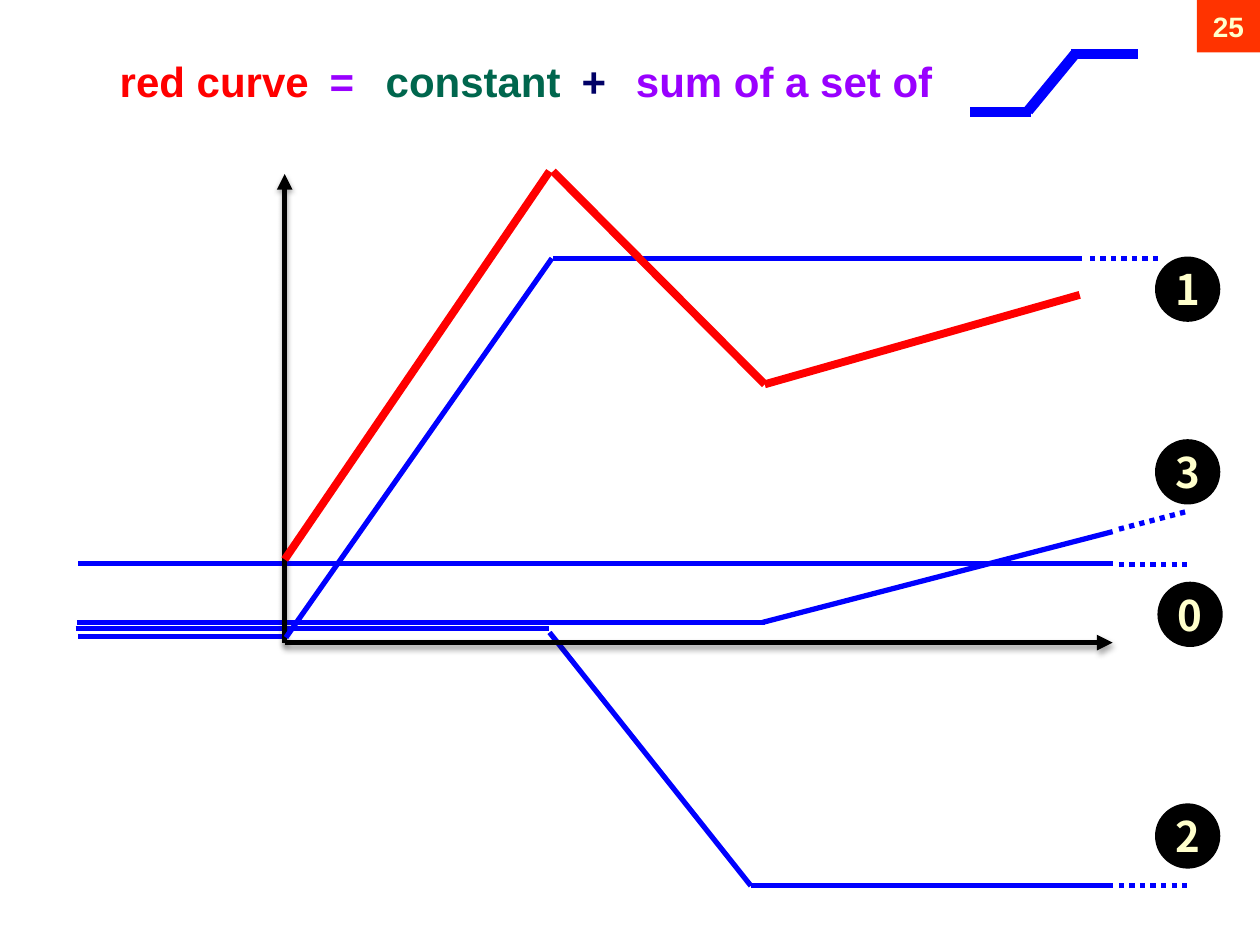
from lxml.etree import SubElement
from pptx import Presentation
from pptx.dml.color import RGBColor
from pptx.enum.dml import MSO_LINE
from pptx.enum.shapes import MSO_CONNECTOR, MSO_SHAPE
from pptx.enum.text import MSO_ANCHOR, MSO_AUTO_SIZE, PP_ALIGN
from pptx.oxml import parse_xml
from pptx.oxml.ns import nsdecls, qn
from pptx.util import Pt

THEME = {
    "blue": "0000FF", "red": "FF0000", "black": "000000", "cream": "FFFFCC",
    "green": "00664D", "violet": "9900FF", "navy": "000066", "orange": "FF3300",
    "title": {"name": "Arial", "size": Pt(24), "bold": True},
    "label": {"name": "Noto Sans CJK SC", "size": Pt(24), "bold": True},
    "page": {"name": "Arial", "size": Pt(16), "bold": True},
}

TERMS = [("red curve", "red", 0), ("=", "violet", 120), ("constant", "green", 152),
         ("+", "navy", 264), ("sum of a set of", "violet", 295)]

ZERO, PEAK, DIP, END = 162.7, 314, 437, 635.8
BASE = 367.2

LINES = [
    ("blue", 3, [
        (316, 147.6, 618.5, 147.6), (44.6, 363.6, ZERO, 363.6),
        (43.2, 359.3, PEAK, 359.3), (PEAK, 361.4, 429.1, 506.2),
        (429.1, 506.2, END, 506.2), (43.9, 355.7, DIP, 355.7),
        (435.6, 355.7, END, 303.8), (44.6, 321.8, END, 321.8)]),
    ("axis", 3, [(ZERO, BASE, END, BASE), (ZERO, BASE, ZERO, 99.4)]),
    ("blue", 3, [(163.4, 364.3, 315.4, 147.6)]),
    ("red", 4.5, [
        (ZERO, 319.7, PEAK, 97.9), (316, 97.9, DIP, 219.6), (617, 168.5, DIP, 219.6)]),
    ("dots", 3, [
        (639.4, 302.4, 678.2, 292.3), (622.8, 147.6, 662.4, 147.6),
        (639.4, 322.6, 679, 322.6), (639.4, 506.2, 678.2, 506.2)]),
    ("blue", 6, [
        (612, 31, 650.2, 31), (554.4, 64.1, 589, 64.1), (587.5, 63.4, 614.2, 31)]),
]

MARKS = [("0", 662.4, 333.4), ("1", 661, 147.6), ("2", 661, 460.1), ("3", 661, 252)]
SIZE = 35.3

SHADOW = (f'<a:effectLst {nsdecls("a")}><a:outerShdw blurRad="{Pt(3.1)}" '
          f'dist="{Pt(1.8)}" dir="5400000" rotWithShape="0"><a:srgbClr val="000000">'
          '<a:alpha val="35000"/></a:srgbClr></a:outerShdw></a:effectLst>')
PLAIN = f'<a:effectLst {nsdecls("a")}/>'


def tint(name):
    return RGBColor.from_string(THEME[name])


def style(font, kind, color):
    for key, value in THEME[kind].items():
        setattr(font, key, value)
    font.color.rgb = tint(color)


def draw(slide, kind, width, ends):
    line = slide.shapes.add_connector(MSO_CONNECTOR.STRAIGHT, *map(Pt, ends))
    line.line.width = Pt(width)
    line.line.color.rgb = tint({"axis": "black", "dots": "blue"}.get(kind, kind))
    if kind == "dots":
        line.line.dash_style = MSO_LINE.ROUND_DOT
    props = line.element.spPr
    if kind == "axis":
        SubElement(props.find(qn("a:ln")), qn("a:tailEnd"), type="triangle")
    props.append(parse_xml(SHADOW if kind == "axis" else PLAIN))


def badge(slide, form, box, text, fill, kind):
    shape = slide.shapes.add_shape(form, *map(Pt, box))
    shape.shadow.inherit = False
    shape.fill.solid()
    shape.fill.fore_color.rgb = tint(fill)
    if form == MSO_SHAPE.OVAL:
        shape.line.color.rgb = tint(fill)
        shape.line.width = Pt(2)
    else:
        shape.line.fill.background()
    frame = shape.text_frame
    frame.word_wrap = False
    frame.vertical_anchor = MSO_ANCHOR.MIDDLE
    para = frame.paragraphs[0]
    para.alignment = PP_ALIGN.CENTER
    run = para.add_run()
    run.text = text
    style(run.font, kind, "cream")


def head(slide):
    title = slide.shapes.title
    place = {"left": 61.2, "top": 28, "width": 513.4, "height": 36}
    for key, value in place.items():
        setattr(title, key, Pt(value))
    frame = title.text_frame
    form = {"word_wrap": True, "auto_size": MSO_AUTO_SIZE.NONE,
            "vertical_anchor": MSO_ANCHOR.TOP}
    for key, value in form.items():
        setattr(frame, key, value)
    para = frame.paragraphs[0]
    para.alignment = PP_ALIGN.LEFT
    tabs = SubElement(para._p.get_or_add_pPr(), qn("a:tabLst"))
    for text, color, stop in TERMS:
        if stop:
            SubElement(tabs, qn("a:tab"), pos=str(Pt(stop)), algn="l")
        run = para.add_run()
        run.text = "\t" + text if stop else text
        style(run.font, "title", color)


def main():
    deck = Presentation()
    deck.slide_width, deck.slide_height = Pt(720), Pt(540)
    slide = deck.slides.add_slide(deck.slide_layouts[5])
    head(slide)
    for kind, width, group in LINES:
        for ends in group:
            draw(slide, kind, width, ends)
    for text, left, top in MARKS:
        badge(slide, MSO_SHAPE.OVAL, (left, top, SIZE, SIZE), text, "black", "label")
    badge(slide, MSO_SHAPE.RECTANGLE, (684, 0, 36, 30), "25", "orange", "page")
    deck.save("out.pptx")


if __name__ == "__main__":
    main()
